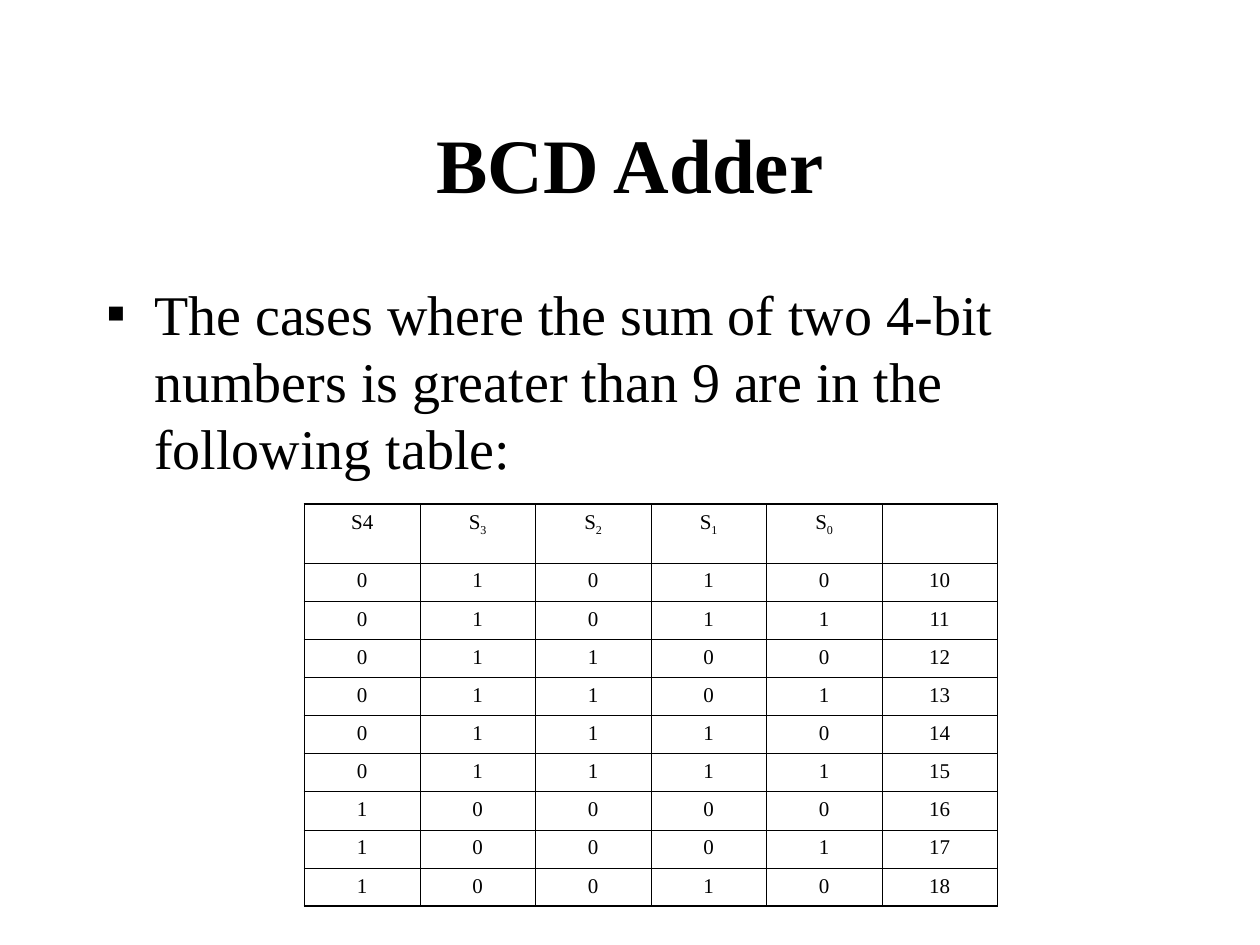
import pptx
import pptx.dml.color
import pptx.enum.text
import pptx.oxml.ns
import pptx.util
from lxml import etree

Pt = pptx.util.Pt
ALIGN = pptx.enum.text.PP_ALIGN
ANCHOR = pptx.enum.text.MSO_ANCHOR

TITLE = "BCD Adder"
STATEMENT = ("The cases where the sum of two 4-bit numbers is greater than 9 "
             "are in the following table:")
# Each header is a letter and its subscript.
HEADERS = [("S4", ""), ("S", "3"), ("S", "2"), ("S", "1"), ("S", "0"), ("", "")]
SUMS = range(10, 19)

COLORS = {"text": "000000", "border": "000000", "background": "FFFFFF"}
FONT = "Times New Roman"
COLUMN_WIDTH = 66
HEADER_HEIGHT, ROW_HEIGHT = 33.7, 21.8
INNER_LINE, OUTER_LINE = 0.45, 1.08


def color(name):
    return pptx.dml.color.RGBColor.from_string(COLORS[name])


def add_text(paragraph, text, size=12, bold=False, align=ALIGN.CENTER, subscript=False):
    paragraph.alignment = align
    run = paragraph.add_run()
    run.text = text
    run.font.name = FONT
    run.font.size = Pt(size)
    run.font.bold = bold
    run.font.color.rgb = color("text")
    if subscript:
        run._r.get_or_add_rPr().set("baseline", "-25000")


def add_element(parent, tag, **attributes):
    return etree.SubElement(parent, pptx.oxml.ns.qn(tag), attributes)


def add_bullet(paragraph, character, indent):
    properties = paragraph._p.get_or_add_pPr()
    properties.set("marL", str(Pt(indent)))
    properties.set("indent", str(-Pt(indent)))
    bullet_color = add_element(properties, "a:buClr")
    add_element(bullet_color, "a:srgbClr", val=COLORS["text"])
    add_element(properties, "a:buFont", typeface=FONT)
    add_element(properties, "a:buChar", char=character)


def set_borders(cell, widths):
    """Draw the left, right, top and bottom lines, in that order."""
    properties = cell._tc.get_or_add_tcPr()
    for tag, width in zip(("a:lnL", "a:lnR", "a:lnT", "a:lnB"), widths):
        line = add_element(properties, tag, w=str(Pt(width)))
        fill = add_element(line, "a:solidFill")
        add_element(fill, "a:srgbClr", val=COLORS["border"])


def add_sum_table(slide):
    rows = [HEADERS]
    for total in SUMS:
        rows.append([(bit, "") for bit in f"{total:05b}"] + [(str(total), "")])
    last_row, last_column = len(rows) - 1, len(HEADERS) - 1
    frame = slide.shapes.add_table(
        len(rows), len(HEADERS), Pt(174), Pt(288),
        Pt(COLUMN_WIDTH * len(HEADERS)), Pt(HEADER_HEIGHT + ROW_HEIGHT * last_row))
    table = frame.table
    table.horz_banding = False
    for column in table.columns:
        column.width = Pt(COLUMN_WIDTH)
    for row_index, row in enumerate(rows):
        table.rows[row_index].height = Pt(ROW_HEIGHT if row_index else HEADER_HEIGHT)
        for column_index, (text, subscript) in enumerate(row):
            cell = table.cell(row_index, column_index)
            on_edge = (column_index == 0, column_index == last_column,
                       row_index == 0, row_index == last_row)
            set_borders(cell, [OUTER_LINE if edge else INNER_LINE for edge in on_edge])
            cell.fill.background()
            paragraph = cell.text_frame.paragraphs[0]
            if text:
                add_text(paragraph, text)
            if subscript:
                add_text(paragraph, subscript, subscript=True)


def main():
    presentation = pptx.Presentation()
    presentation.slide_width, presentation.slide_height = Pt(720), Pt(540)
    slide = presentation.slides.add_slide(presentation.slide_layouts[5])
    slide.background.fill.solid()
    slide.background.fill.fore_color.rgb = color("background")

    title = slide.shapes.title
    title.left, title.top, title.width, title.height = Pt(54), Pt(48), Pt(612), Pt(90)
    title.text_frame.vertical_anchor = ANCHOR.MIDDLE
    add_text(title.text_frame.paragraphs[0], TITLE, size=44, bold=True)

    body = slide.shapes.add_textbox(Pt(54), Pt(156), Pt(612), Pt(324))
    body.text_frame.word_wrap = True
    paragraph = body.text_frame.paragraphs[0]
    add_bullet(paragraph, "▪", indent=27)
    add_text(paragraph, STATEMENT, size=32, align=ALIGN.LEFT)

    add_sum_table(slide)
    presentation.save("out.pptx")


if __name__ == "__main__":
    main()
